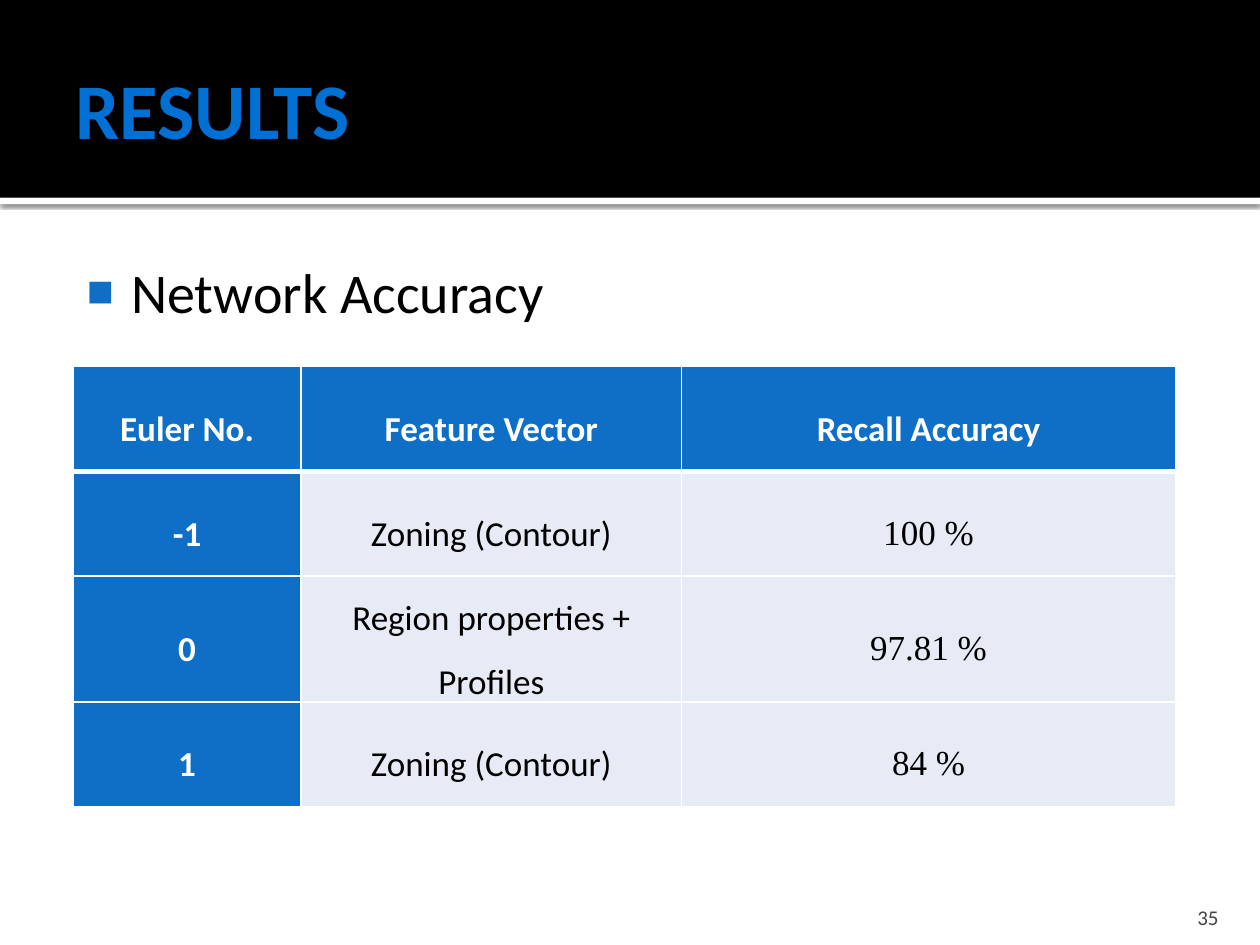
import pptx
import pptx.dml.color
import pptx.enum.shapes
import pptx.enum.text
import pptx.oxml
import pptx.oxml.ns
import pptx.util

Inches = pptx.util.Inches
Pt = pptx.util.Pt
RGBColor = pptx.dml.color.RGBColor
ALIGN = pptx.enum.text.PP_ALIGN
ANCHOR = pptx.enum.text.MSO_ANCHOR

BLACK = RGBColor(0x00, 0x00, 0x00)
WHITE = RGBColor(0xFF, 0xFF, 0xFF)
BLUE = RGBColor(0x0F, 0x6F, 0xC6)
BRIGHT = RGBColor(0x00, 0x70, 0xD5)
PALE = RGBColor(0xE7, 0xEB, 0xF5)
GRAY = RGBColor(0x45, 0x45, 0x45)
SANS = "Calibri"
SERIF = "Times New Roman"

ROWS = [
    ["Euler No.", "Feature Vector", "Recall Accuracy"],
    ["-1", "Zoning (Contour)", "100 %"],
    ["0", "Region properties + Profiles", "97.81 %"],
    ["1", "Zoning (Contour)", "84 %"],
]
WIDTHS = [1.81, 3.02, 3.92]


def node(tag, inner):
    """Parse one DrawingML element with the given attributes and content."""
    space = pptx.oxml.ns.nsdecls("a")
    name = tag.split()[0]
    return pptx.oxml.parse_xml(f"<a:{tag} {space}>{inner}</a:{name}>")


def style(para, size, color, font=SANS, bold=False):
    """Format every run of a paragraph."""
    for run in para.runs:
        run.font.size = Pt(size)
        run.font.name = font
        run.font.bold = bold
        run.font.color.rgb = color


def place(shape, box):
    """Move a shape to a box of left, top, width and height."""
    shape.left, shape.top, shape.width, shape.height = map(Inches, box)


def inset(item, left, top, right, bottom):
    """Set the margins of a text frame or a cell."""
    item.margin_left, item.margin_top = Inches(left), Inches(top)
    item.margin_right, item.margin_bottom = Inches(right), Inches(bottom)


def band(slide, box, color):
    """Add a plain strip behind all other shapes."""
    strip = slide.shapes.add_shape(
        pptx.enum.shapes.MSO_SHAPE.RECTANGLE, *map(Inches, box))
    strip.shadow.inherit = False
    strip.fill.solid()
    strip.fill.fore_color.rgb = color
    strip.line.fill.background()
    slide.shapes._spTree.insert(2, strip._element)
    return strip


def header(slide, box):
    """Build the black header, its shaded white edge and the title."""
    left, top, width, height = box
    band(slide, box, BLACK)
    edge = band(slide, (left, top + height, width, 0.05), WHITE)
    shade = edge._element.spPr.find(pptx.oxml.ns.qn("a:effectLst"))
    shade.append(node(
        f'outerShdw blurRad="{Pt(2.5)}" dist="{Pt(0.8)}" dir="5400000"',
        f'<a:srgbClr val="{BLACK}"><a:alpha val="60000"/></a:srgbClr>'))
    title = slide.shapes.title
    place(title, (left + 0.5, top + 0.17, width - 1, height - 0.2))
    frame = title.text_frame
    frame.text = "RESULTS"
    frame.vertical_anchor = ANCHOR.MIDDLE
    inset(frame, 0.1, 0.05, 0.05, 0.05)
    para = frame.paragraphs[0]
    para.alignment = ALIGN.LEFT
    style(para, 45, BRIGHT, bold=True)


def body(slide, box):
    """Fill the body placeholder with its bulleted line."""
    shape = slide.placeholders[1]
    place(shape, box)
    frame = shape.text_frame
    frame.text = "Network Accuracy"
    inset(frame, 0.06, 0.1, 0.1, 0.05)
    para = frame.paragraphs[0]
    para.space_before = Pt(0)
    style(para, 32, BLACK)
    props = para._p.get_or_add_pPr()
    props.set("marL", str(Inches(0.48)))
    props.set("indent", str(Inches(-0.35)))
    props.append(node("buClr", f'<a:srgbClr val="{BLUE}"/>'))
    props.append(node('buSzPct val="80000"', ""))
    props.append(node('buFont typeface="Arial"', ""))
    props.append(node('buChar char="■"', ""))


def fill(cell, text, head, col):
    """Write and format one table cell."""
    strong = head or col == 0
    cell.text = text
    cell.vertical_anchor = ANCHOR.MIDDLE
    inset(cell, 0.07, 0, 0.07, 0)
    para = cell.text_frame.paragraphs[0]
    para.alignment = ALIGN.CENTER
    para.line_spacing = 1.5
    para.space_after = Pt(12)
    style(para, 20, WHITE if strong else BLACK,
          SERIF if col == 2 and not head else SANS, strong)
    props = cell._tc.get_or_add_tcPr()
    for side in "LRTB":
        width = Pt(3 if head and side == "B" else 1)
        props.append(node(
            f'ln{side} w="{width}"',
            f'<a:solidFill><a:srgbClr val="{WHITE}"/></a:solidFill>'))
    cell.fill.solid()
    cell.fill.fore_color.rgb = BLUE if strong else PALE


def grid(slide, box):
    """Build the accuracy table."""
    table = slide.shapes.add_table(
        len(ROWS), len(WIDTHS), *map(Inches, box)).table
    for col, width in zip(table.columns, WIDTHS):
        col.width = Inches(width)
    for row, texts in enumerate(ROWS):
        table.rows[row].height = Inches(box[3] / len(ROWS))
        for col, text in enumerate(texts):
            fill(table.cell(row, col), text, row == 0, col)


def number(slide, box):
    """Add the page number."""
    frame = slide.shapes.add_textbox(*map(Inches, box)).text_frame
    frame.word_wrap = True
    frame.text = "35"
    frame.vertical_anchor = ANCHOR.BOTTOM
    inset(frame, 0.1, 0.05, 0.1, 0)
    para = frame.paragraphs[0]
    para.alignment = ALIGN.RIGHT
    style(para, 12, GRAY)


def main():
    """Build the slide and save it."""
    deck = pptx.Presentation()
    deck.slide_width, deck.slide_height = Inches(10), Inches(7.5)
    slide = deck.slides.add_slide(deck.slide_layouts[1])
    header(slide, (0, 0, 10, 1.57))
    body(slide, (0.5, 1.94, 9, 5.06))
    number(slide, (8.97, 7.08, 0.8, 0.3))
    grid(slide, (0.58, 2.91, 8.75, 3.32))
    deck.save("out.pptx")


if __name__ == "__main__":
    main()
